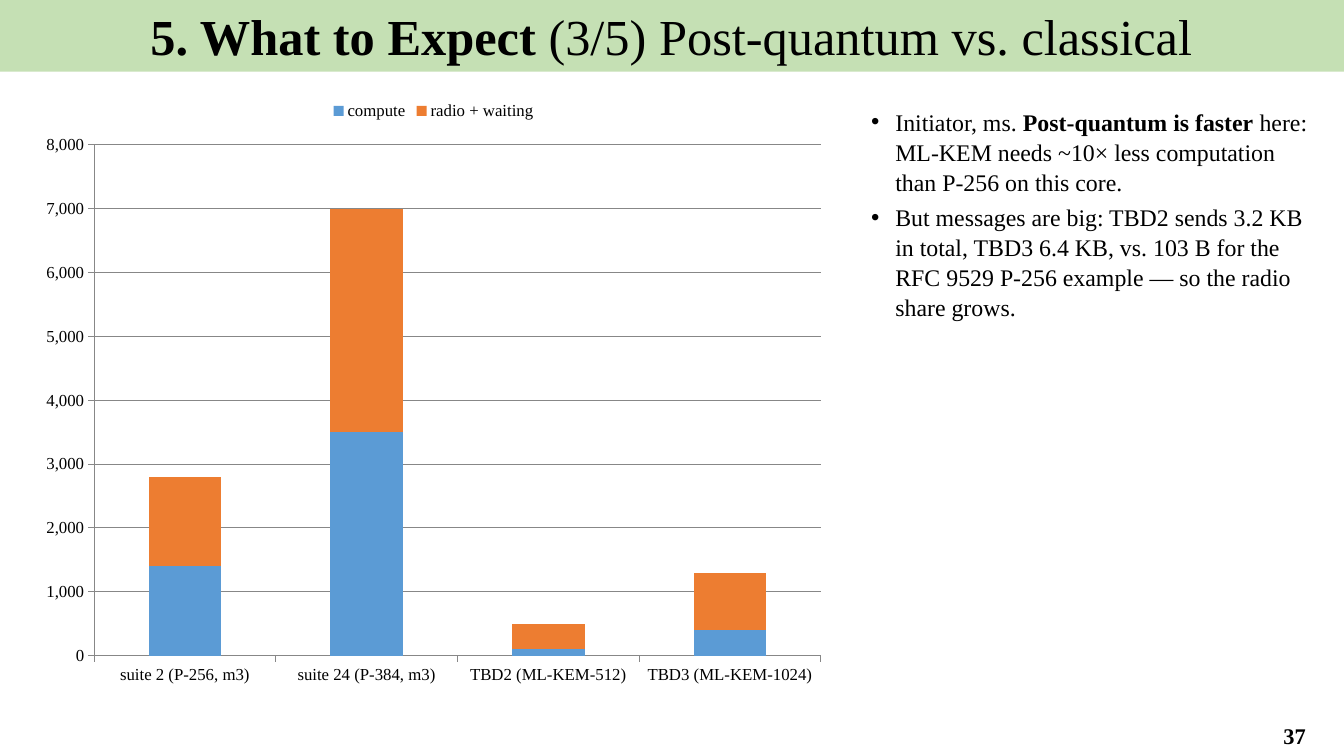
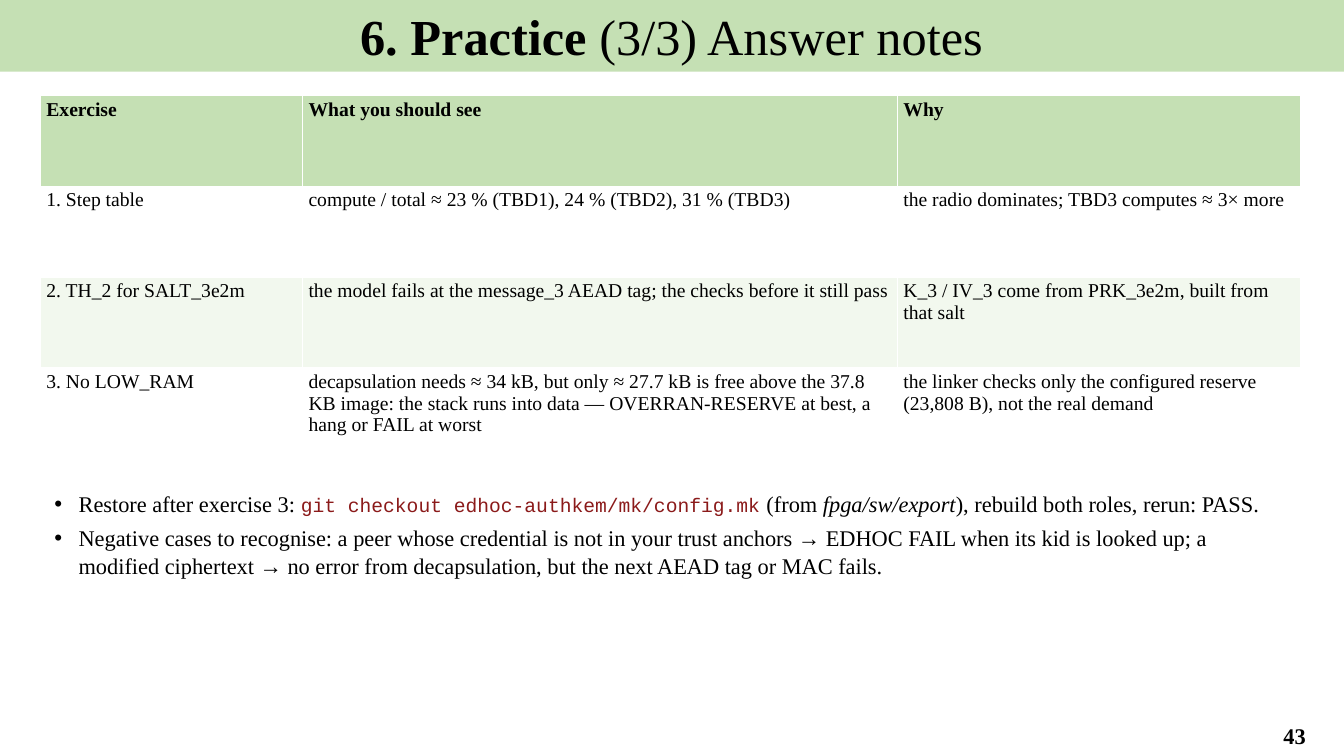
from pptx import Presentation
from pptx.chart.data import CategoryChartData as ChartData
from pptx.dml.color import RGBColor as RGB
from pptx.enum.chart import XL_CHART_TYPE as Chart, XL_LEGEND_POSITION as Legend
from pptx.enum.chart import XL_TICK_MARK as Tick
from pptx.enum.text import MSO_ANCHOR as Anchor, MSO_AUTO_SIZE as Fit, PP_ALIGN as Align
from pptx.util import Inches, Pt

HEX = {"band": "C5E0B4", "stripe": "F2F8EE", "white": "FFFFFF", "text": "000000",
       "code": "8B1A1A", "compute": "5B9BD5", "radio": "ED7D31"}
SERIF, MONO = "Times New Roman", "Courier New"


def tint(name):
    return RGB.from_string(HEX[name])


def style(font, size, bold=False, italic=False, face=SERIF, color="text"):
    font.name, font.size = face, Pt(size)
    font.bold, font.italic = bold, italic
    font.color.rgb = tint(color)


def paint(shape, color):
    shape.fill.solid()
    shape.fill.fore_color.rgb = tint(color)


def place(shape, box):
    shape.left, shape.top, shape.width, shape.height = map(Inches, box)


def write(para, parts, size):
    """Fill a paragraph from plain strings and (text, look) pairs."""
    for part in parts:
        text, look = (part, {}) if isinstance(part, str) else part
        run = para.add_run()
        run.text = text
        style(run.font, **{"size": size, **look})


def frame(deck, lead, rest, page):
    """Add a slide with its title band and page number."""
    slide = deck.slides.add_slide(deck.slide_layouts[1])
    title = slide.shapes.title
    place(title, (-0.01, 0, 13.34, 0.71))
    paint(title, "band")
    text = title.text_frame
    text.auto_size, text.vertical_anchor = Fit.NONE, Anchor.MIDDLE
    para = text.paragraphs[0]
    para.alignment = Align.CENTER
    write(para, [(lead, {"bold": True}), rest], 36)

    number = slide.shapes.add_textbox(*map(Inches, (12.35, 7.1, 0.98, 0.39)))
    text = number.text_frame
    text.word_wrap, text.vertical_anchor = True, Anchor.MIDDLE
    text.text = str(page)
    para = text.paragraphs[0]
    para.alignment = Align.CENTER
    style(para.runs[0].font, 16, bold=True)
    return slide


def points(slide, box, items, size):
    """Fill the body placeholder with a bulleted list."""
    body = slide.placeholders[1]
    place(body, box)
    text = body.text_frame
    text.auto_size = Fit.NONE
    for i, parts in enumerate(items):
        para = text.add_paragraph() if i else text.paragraphs[0]
        props = para._p.get_or_add_pPr()
        props.set("marL", str(Inches(0.28)))
        props.set("indent", str(Inches(-0.24)))
        para.space_before, para.space_after = Pt(0), Pt(4)
        para.line_spacing = 1.05
        write(para, parts, size)


def bars(slide, box, cats, series):
    """Add a stacked column chart from (name, colour, values) rows."""
    data = ChartData(number_format="#,##0")
    data.categories = cats
    for name, _, vals in series:
        data.add_series(name, vals)
    chart = slide.shapes.add_chart(Chart.COLUMN_STACKED, *map(Inches, box), data).chart
    style(chart.font, 12)
    chart.has_title = False
    chart.has_legend = True
    chart.legend.position = Legend.TOP
    chart.legend.include_in_layout = False
    style(chart.legend.font, 12)
    for axis in (chart.category_axis, chart.value_axis):
        axis.major_tick_mark = Tick.OUTSIDE
        style(axis.tick_labels.font, 12)
    labels = chart.value_axis.tick_labels
    labels.number_format, labels.number_format_is_linked = "#,##0", False
    chart.value_axis.has_major_gridlines = True
    plot = chart.plots[0]
    plot.overlap, plot.gap_width, plot.vary_by_categories = 100, 150, False
    for item, (_, color, _) in zip(plot.series, series):
        paint(item.format, color)


def grid(slide, box, widths, rows):
    """Add a table with a coloured head and every second body row striped."""
    table = slide.shapes.add_table(len(rows), len(widths), *map(Inches, box)).table
    table.horz_banding = False
    for col, width in zip(table.columns, widths):
        col.width = Inches(width)
    for r, row in enumerate(rows):
        fill = "band" if r == 0 else "white" if r % 2 else "stripe"
        for c, text in enumerate(row):
            cell = table.cell(r, c)
            cell.margin_left = cell.margin_right = Inches(0.06)
            cell.margin_top = cell.margin_bottom = Inches(0.03)
            paint(cell, fill)
            cell.text = text
            style(cell.text_frame.paragraphs[0].runs[0].font, 14, bold=r == 0)


def compare(deck):
    slide = frame(deck, "5. What to Expect ", "(3/5) Post-quantum vs. classical", 37)
    bars(slide, (0.3, 0.9, 8, 6),
         ["suite 2 (P-256, m3)", "suite 24 (P-384, m3)",
          "TBD2 (ML-KEM-512)", "TBD3 (ML-KEM-1024)"],
         [("compute", "compute", (1400, 3500, 100, 400)),
          ("radio + waiting", "radio", (1400, 3500, 400, 900))])
    points(slide, (8.5, 1, 4.6, 6), [
        ["Initiator, ms. ", ("Post-quantum is faster", {"bold": True}),
         " here: ML-KEM needs ~10× less computation than P-256 on this core."],
        ["But messages are big: TBD2 sends 3.2 KB in total, TBD3 6.4 KB, vs. 103 B "
         "for the RFC 9529 P-256 example — so the radio share grows."],
    ], 17)


def answers(deck):
    slide = frame(deck, "6. Practice ", "(3/3) Answer notes", 43)
    grid(slide, (0.4, 0.95, 12.5, 3.6), (2.6, 5.9, 4), [
        ("Exercise", "What you should see", "Why"),
        ("1. Step table", "compute / total ≈ 23 % (TBD1), 24 % (TBD2), 31 % (TBD3)",
         "the radio dominates; TBD3 computes ≈ 3× more"),
        ("2. TH_2 for SALT_3e2m",
         "the model fails at the message_3 AEAD tag; the checks before it still pass",
         "K_3 / IV_3 come from PRK_3e2m, built from that salt"),
        ("3. No LOW_RAM",
         "decapsulation needs ≈ 34 kB, but only ≈ 27.7 kB is free above the 37.8 KB "
         "image: the stack runs into data — OVERRAN-RESERVE at best, a hang or FAIL at worst",
         "the linker checks only the configured reserve (23,808 B), not the real demand"),
    ])
    code = {"size": 14, "face": MONO, "color": "code"}
    points(slide, (0.4, 4.8, 12.5, 2.2), [
        ["Restore after exercise 3: ", ("git checkout edhoc-authkem/mk/config.mk", code),
         " (from ", ("fpga/sw/export", {"italic": True}),
         "), rebuild both roles, rerun: PASS."],
        ["Negative cases to recognise: a peer whose credential is not in your trust anchors "
         "→ EDHOC FAIL when its kid is looked up; a modified ciphertext → no error from "
         "decapsulation, but the next AEAD tag or MAC fails."],
    ], 16)


def main():
    deck = Presentation()
    deck.slide_width, deck.slide_height = Inches(13.33), Inches(7.5)
    compare(deck)
    answers(deck)
    deck.save("out.pptx")


if __name__ == "__main__":
    main()
